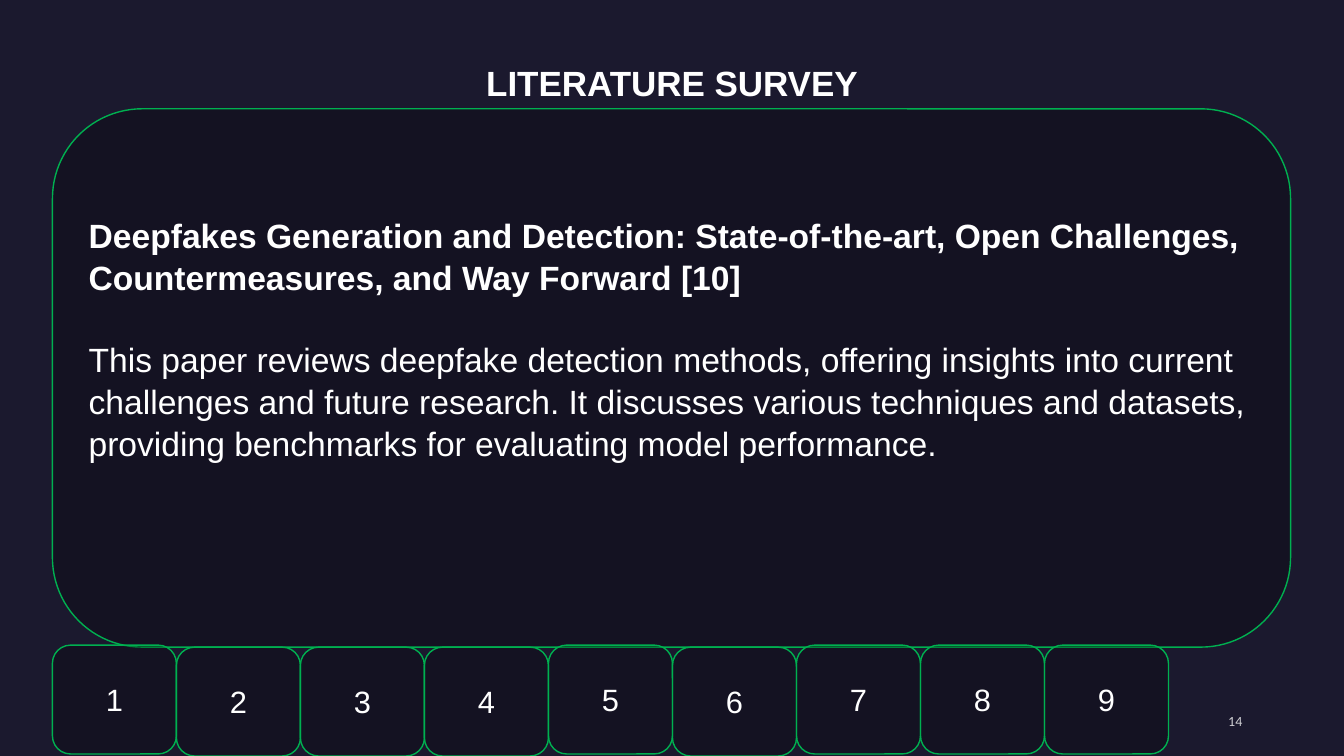
from lxml import etree
from pptx import Presentation
from pptx.dml.color import RGBColor
from pptx.enum.shapes import MSO_SHAPE as SHAPE
from pptx.enum.text import MSO_ANCHOR as ANCHOR, MSO_AUTO_SIZE as AUTO, PP_ALIGN as ALIGN
from pptx.oxml.ns import qn
from pptx.util import Inches, Pt

# Content
TITLE = "LITERATURE SURVEY"
PAPER = ("Deepfakes Generation and Detection: State-of-the-art, Open Challenges, "
         "Countermeasures, and Way Forward [10]")
SUMMARY = ("This paper reviews deepfake detection methods, offering insights into current "
           "challenges and future research. It discusses various techniques and datasets, "
           "providing benchmarks for evaluating model performance.")
TABS = range(1, 10)
LOWER_TABS = {2, 3, 4, 6}
PAGE_NUMBER = "14"

# Layout and colours
LEFT, TAB_W, TAB_H, TAB_TOP, TAB_DROP = 0.52, 1.23, 1.08, 6.4, 0.02
BACKGROUND, PANEL, GREEN, WHITE = "1B192E", "000000", "00B050", "FFFFFF"


def paint(color_format, color, alpha=None):
    color_format.rgb = RGBColor.from_string(color)
    if alpha is not None:
        for node in color_format._xFill.iter(qn("a:srgbClr")):
            etree.SubElement(node, qn("a:alpha")).set("val", str(alpha * 1000))


def write(p, text, size, font="Arial", bold=False, align=ALIGN.CENTER,
          before=0, spacing=None, alpha=None):
    p.alignment = align
    if before:
        p.space_before = Pt(before)
    if spacing:
        p.line_spacing = spacing
    r = p.add_run()
    r.text = text
    r.font.name, r.font.size, r.font.bold = font, Pt(size), bold
    r.font.fill.solid()
    r.font.color.rgb = RGBColor.from_string(WHITE)
    if alpha is not None:
        for node in r._r.iter(qn("a:srgbClr")):
            etree.SubElement(node, qn("a:alpha")).set("val", str(alpha * 1000))


def add_box(x, y, w, h):
    sp = slide.shapes.add_shape(SHAPE.ROUNDED_RECTANGLE, *map(Inches, (x, y, w, h)))
    sp.shadow.inherit = False
    sp.fill.solid()
    sp.fill.fore_color.rgb = RGBColor.from_string(PANEL)
    for node in sp._element.spPr.iter(qn("a:srgbClr")):
        etree.SubElement(node, qn("a:alpha")).set("val", "25000")
    sp.line.color.rgb = RGBColor.from_string(GREEN)
    sp.line.width = Pt(1)
    tf = sp.text_frame
    tf.word_wrap, tf.vertical_anchor = True, ANCHOR.MIDDLE
    return tf


prs = Presentation()
prs.slide_width, prs.slide_height = Inches(13.33), Inches(7.5)
slide = prs.slides.add_slide(prs.slide_layouts[5])
slide.background.fill.solid()
slide.background.fill.fore_color.rgb = RGBColor.from_string(BACKGROUND)

# Title
title = slide.shapes.title
title.left, title.top, title.width, title.height = map(Inches, (0, 0.56, 13.33, 0.52))
title.text_frame.auto_size = AUTO.NONE
title.text_frame.vertical_anchor = ANCHOR.TOP
write(title.text_frame.paragraphs[0], TITLE, 25, bold=True)

# Paper panel, with its text raised above the middle
tf = add_box(LEFT, 1.08, 12.28, 5.34)
tf.margin_bottom = Inches(0.84)
write(tf.paragraphs[0], PAPER, 24, bold=True, align=ALIGN.LEFT, spacing=1.04)
write(tf.add_paragraph(), SUMMARY, 24, align=ALIGN.LEFT, before=28.7, spacing=1.04)

# Numbered tabs
for i, number in enumerate(TABS):
    top = TAB_TOP + (TAB_DROP if number in LOWER_TABS else 0)
    tf = add_box(LEFT + i * TAB_W, top, TAB_W, TAB_H)
    write(tf.paragraphs[0], str(number), 22)

# Page number
tf = slide.shapes.add_textbox(*map(Inches, (9.42, 6.95, 3, 0.4))).text_frame
tf.word_wrap, tf.vertical_anchor = True, ANCHOR.MIDDLE
write(tf.paragraphs[0], PAGE_NUMBER, 10, font="Calibri", align=ALIGN.RIGHT, alpha=80)

prs.save("out.pptx")
